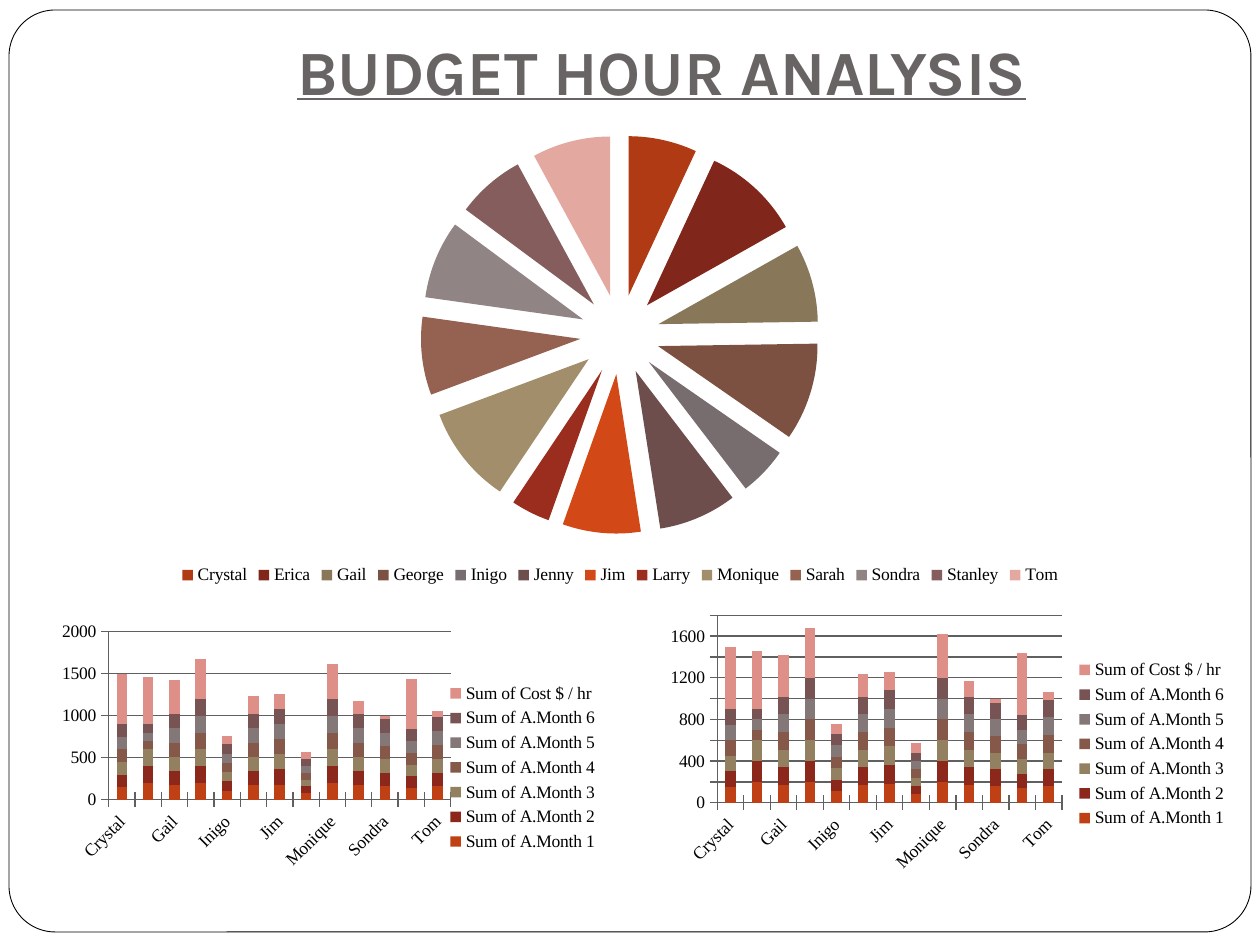
from lxml.etree import SubElement
from pptx import Presentation
from pptx.chart.data import CategoryChartData
from pptx.dml.color import RGBColor
from pptx.enum.chart import XL_CHART_TYPE as CT, XL_LEGEND_POSITION as LP, XL_TICK_MARK as TM
from pptx.enum.shapes import MSO_SHAPE
from pptx.enum.text import MSO_ANCHOR, MSO_AUTO_SIZE, PP_ALIGN
from pptx.oxml.ns import qn
from pptx.util import Pt

TITLE = "BUDGET HOUR ANALYSIS\v"
NAMES = ["Crystal", "Erica", "Gail", "George", "Inigo", "Jenny", "Jim",
         "Larry", "Monique", "Sarah", "Sondra", "Stanley", "Tom"]

HOURS_A = [7, 10, 8, 10, 5, 8, 8, 4, 10, 8, 8, 7, 8]
HOURS_B = [7, 5, 9, 10, 5, 8, 9, 4, 10, 8, 8, 7, 8]
HOURS_C = [15, 14, 10, 12, 2, 6, 5, 2, 11, 4, 1, 15, 2]
PIE_SERIES = [(f"Series {i}", vals) for i, vals in
              enumerate([HOURS_A] * 3 + [HOURS_B] * 3 + [HOURS_C], 1)]

EARLY = [150, 200, 170, 200, 110, 170, 180, 80, 200, 170, 160, 140, 160]
LATE = [150, 100, 170, 200, 110, 170, 180, 80, 200, 170, 160, 140, 170]
COST = [600, 560, 400, 480, 100, 220, 180, 90, 420, 150, 40, 600, 70]
BAR_SERIES = [(f"Sum of A.Month {i}", vals) for i, vals in
              enumerate([EARLY] * 3 + [LATE] * 3, 1)]
BAR_SERIES.append(("Sum of Cost $ / hr", COST))

WHITE = RGBColor(0xFF, 0xFF, 0xFF)
BLACK = RGBColor(0, 0, 0)
TITLE_GRAY = RGBColor(0x69, 0x64, 0x64)
GRID_GRAY = RGBColor(0x60, 0x60, 0x60)
PIE_COLORS = [RGBColor.from_string(c) for c in (
    "B03A14", "80261B", "887758", "7C5142", "786D6E", "6E4D4D", "D34817",
    "9B2D1F", "A28E6A", "956251", "918485", "855D5D", "E3A8A0")]
BAR_COLORS = [RGBColor.from_string(c) for c in (
    "BE4014", "8B281B", "928060", "865849", "837777", "785353", "DE9088")]

FRAME_BOX = (9, 10, 1242, 922)
TITLE_BOX = (126, 38, 1071, 158)
PIE_BOX = (29, 118, 1182, 472)
BAR_CHARTS = [
    {"box": (59, 620, 552, 295), "top": 2000, "step": 500,
     "plot": {"x": 0.09, "y": 0.04, "w": 0.62, "h": 0.57}},
    {"box": (659, 610, 581, 268), "top": 1800, "step": 200, "plot": None},
]


def px(*lengths):
    return [round(n * 914400 / 126) for n in lengths]


def set_font(font):
    font.name, font.size = "Times New Roman", Pt(10)
    font.color.rgb = BLACK


def paint(part, color):
    part.format.fill.solid()
    part.format.fill.fore_color.rgb = color


def add_chart(s, kind, box, series, legend):
    data = CategoryChartData()
    data.categories = NAMES
    for name, vals in series:
        data.add_series(name, vals)
    chart = s.shapes.add_chart(kind, *px(*box), data).chart
    chart.replace_data(data)
    chart.has_title = False
    set_font(chart.font)
    chart.has_legend = True
    chart.legend.position = legend
    chart.legend.include_in_layout = False
    set_font(chart.legend.font)
    return chart


def add_pie(s):
    chart = add_chart(s, CT.PIE_EXPLODED, PIE_BOX, PIE_SERIES, LP.BOTTOM)
    plot = chart.plots[0]
    plot.vary_by_categories = True
    plot.has_data_labels = False
    for ser in plot.series:
        for i, color in enumerate(PIE_COLORS):
            paint(ser.points[i], color)


def set_plot_area(chart, plot):
    area = chart.plots[0]._element.getparent()
    layout = area.find(qn("c:layout"))
    if layout is None:
        layout = SubElement(area, qn("c:layout"))
        area.insert(0, layout)
    manual = SubElement(layout, qn("c:manualLayout"))
    settings = {"layoutTarget": "inner", "xMode": "edge", "yMode": "edge", **plot}
    for tag, val in settings.items():
        SubElement(manual, qn(f"c:{tag}")).set("val", str(val))


def add_bars(s, box, top, step, plot):
    chart = add_chart(s, CT.COLUMN_STACKED, box, BAR_SERIES, LP.RIGHT)
    bars = chart.plots[0]
    bars.vary_by_categories = False
    bars.gap_width, bars.overlap = 150, 100
    for ser, color in zip(bars.series, BAR_COLORS):
        paint(ser, color)
    cat, val = chart.category_axis, chart.value_axis
    for axis in (cat, val):
        axis.major_tick_mark = TM.CROSS
        axis.minor_tick_mark = TM.NONE
        axis.format.line.color.rgb = GRID_GRAY
        set_font(axis.tick_labels.font)
    cat._element.find(qn("c:txPr")).find(qn("a:bodyPr")).set("rot", "-2700000")
    val.minimum_scale, val.maximum_scale, val.major_unit = 0, top, step
    val.has_major_gridlines = True
    val.major_gridlines.format.line.color.rgb = GRID_GRAY
    if plot:
        set_plot_area(chart, plot)


def main():
    prs = Presentation()
    prs.slide_width, prs.slide_height = px(1260, 945)
    s = prs.slides.add_slide(prs.slide_layouts[5])

    title = s.shapes.title
    title.left, title.top, title.width, title.height = px(*TITLE_BOX)
    tf = title.text_frame
    tf.text = TITLE
    tf.word_wrap = True
    tf.auto_size = MSO_AUTO_SIZE.NONE
    tf.vertical_anchor = MSO_ANCHOR.BOTTOM
    tf.margin_left = tf.margin_right = tf.margin_bottom = Pt(7.2)
    tf.margin_top = Pt(3.6)
    p = tf.paragraphs[0]
    p.alignment = PP_ALIGN.CENTER
    p.font.name, p.font.size = "Karla", Pt(36)
    p.font.bold = p.font.underline = True
    p.font.color.rgb = TITLE_GRAY

    frame = s.shapes.add_shape(MSO_SHAPE.ROUNDED_RECTANGLE, *px(*FRAME_BOX))
    frame.adjustments[0] = 0.05
    frame.shadow.inherit = False
    frame.fill.solid()
    frame.fill.fore_color.rgb = WHITE
    frame.line.color.rgb = BLACK
    frame.line.width = Pt(0.5)
    title.element.addprevious(frame.element)

    add_pie(s)
    for bar_chart in BAR_CHARTS:
        add_bars(s, **bar_chart)
    prs.save("out.pptx")


if __name__ == "__main__":
    main()
